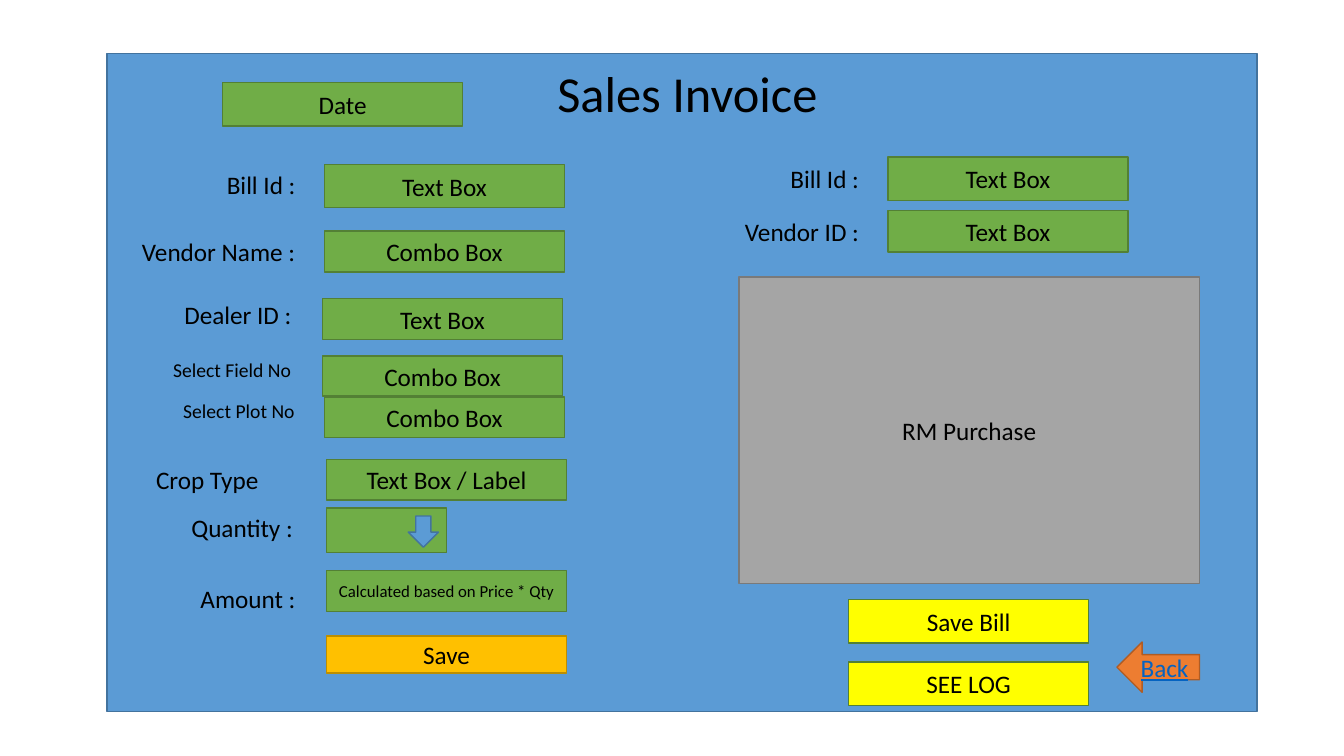
import pptx
import pptx.util
import pptx.dml.color
import pptx.enum.shapes
import pptx.enum.text
from dataclasses import dataclass

Pt = pptx.util.Pt
RGB = pptx.dml.color.RGBColor.from_string
SHAPE = pptx.enum.shapes.MSO_SHAPE
ALIGN = pptx.enum.text.PP_ALIGN
ANCHOR = pptx.enum.text.MSO_ANCHOR
AUTO_SIZE = pptx.enum.text.MSO_AUTO_SIZE


@dataclass(frozen=True)
class Theme:
    font: str = "Calibri"
    text: str = "000000"
    link: str = "0563C1"
    # Each pair is fill, outline
    blue: tuple = ("5B9BD5", "43739E")
    green: tuple = ("70AD47", "538035")
    yellow: tuple = ("FFFF00", "538035")
    gold: tuple = ("FFC000", "BD8E00")
    grey: tuple = ("A5A5A5", "7A7A7A")
    orange: tuple = ("ED7D31", "AF5C24")
    title: int = 36
    body: int = 18
    small: int = 14
    note: int = 12


theme = Theme()


def write(s, text, size, align):
    """Put one run of text in a shape and return the run."""
    tf = s.text_frame
    tf.word_wrap = True
    p = tf.paragraphs[0]
    p.alignment = align
    r = p.add_run()
    r.text = text
    r.font.name = theme.font
    r.font.size = Pt(size)
    r.font.color.rgb = RGB(theme.text)
    return r


def add_block(shapes, kind, box, colours, text="", size=theme.body):
    """Add a filled, outlined shape with centred text; return shape and run."""
    s = shapes.add_shape(kind, *map(Pt, box))
    s.shadow.inherit = False
    fill, line = colours
    s.fill.solid()
    s.fill.fore_color.rgb = RGB(fill)
    s.line.color.rgb = RGB(line)
    s.line.width = Pt(1)
    s.text_frame.vertical_anchor = ANCHOR.MIDDLE
    r = write(s, text, size, ALIGN.CENTER) if text else None
    return s, r


prs = pptx.Presentation()
prs.slide_width = Pt(960)
prs.slide_height = Pt(540)
slide = prs.slides.add_slide(prs.slide_layouts[6])
shapes = slide.shapes

# Form background
add_block(shapes, SHAPE.RECTANGLE, (76.4, 38.1, 821.5, 470.2), theme.blue)

# Title and labels: left, top, width, height, text, size, alignment
labels = [
    (391, 41.1, 396, 52.6, "Sales Invoice", theme.title, ALIGN.LEFT),
    (89.3, 117.4, 128.9, 28.8, "Bill Id :", theme.body, ALIGN.RIGHT),
    (94.3, 164.9, 128.9, 28.1, "Vendor Name :", theme.body, ALIGN.LEFT),
    (86.4, 210.3, 128.9, 28.8, "Dealer ID :", theme.body, ALIGN.RIGHT),
    (116.6, 252, 133.9, 24.5, "Select Field No", theme.small, ALIGN.LEFT),
    (123.8, 281.5, 133.9, 24.5, "Select Plot No", theme.small, ALIGN.LEFT),
    (104.4, 328.3, 133.9, 28.8, "Crop Type", theme.body, ALIGN.LEFT),
    (129.6, 362.2, 96.5, 28.1, "Quantity :", theme.body, ALIGN.LEFT),
    (136.1, 413.3, 94.3, 28.1, "Amount :", theme.body, ALIGN.LEFT),
    (491.8, 113, 128.9, 28.8, "Bill Id :", theme.body, ALIGN.RIGHT),
    (491.8, 151.2, 128.9, 28.8, "Vendor ID :", theme.body, ALIGN.RIGHT),
]
for *box, text, size, align in labels:
    s = shapes.add_textbox(*map(Pt, box))
    write(s, text, size, align)
    s.text_frame.auto_size = AUTO_SIZE.SHAPE_TO_FIT_TEXT

# Fields and buttons share one width: left, top, height, text, colours, size
field_width = 171.4
fields = [
    (159.1, 59, 31, "Date", theme.green, theme.body),
    (231.8, 117.4, 31, "Text Box", theme.green, theme.body),
    (231.8, 164.9, 29.5, "Combo Box", theme.green, theme.body),
    (230.4, 213.1, 29.5, "Text Box", theme.green, theme.body),
    (230.4, 254.2, 28.8, "Combo Box", theme.green, theme.body),
    (231.8, 283.7, 28.8, "Combo Box", theme.green, theme.body),
    (233.3, 328.3, 28.8, "Text Box / Label", theme.green, theme.body),
    (233.3, 407.5, 29.5, "Calculated based on Price * Qty", theme.green, theme.note),
    (233.3, 454.3, 26.6, "Save", theme.gold, theme.body),
    (634.3, 112.3, 31, "Text Box", theme.green, theme.body),
    (634.3, 150.5, 29.5, "Text Box", theme.green, theme.body),
    (606.2, 428.4, 31, "Save Bill", theme.yellow, theme.body),
    (606.2, 473, 31, "SEE LOG", theme.yellow, theme.body),
]
for left, top, height, text, colours, size in fields:
    add_block(shapes, SHAPE.RECTANGLE, (left, top, field_width, height), colours, text, size)

# Quantity selector
selector = shapes.add_group_shape().shapes
add_block(selector, SHAPE.RECTANGLE, (233.3, 362.9, field_width / 2, 31.7), theme.green)
add_block(selector, SHAPE.DOWN_ARROW, (291.6, 368.6, 21.6, 22.3), theme.blue)

# Purchase list and back button
add_block(shapes, SHAPE.RECTANGLE, (527.8, 198, 329, 218.9), theme.grey, "RM Purchase")
s, r = add_block(shapes, SHAPE.LEFT_ARROW, (797.8, 458.6, 59, 36), theme.orange, "Back")
r.font.color.rgb = RGB(theme.link)
r.font.underline = True

prs.save("out.pptx")
